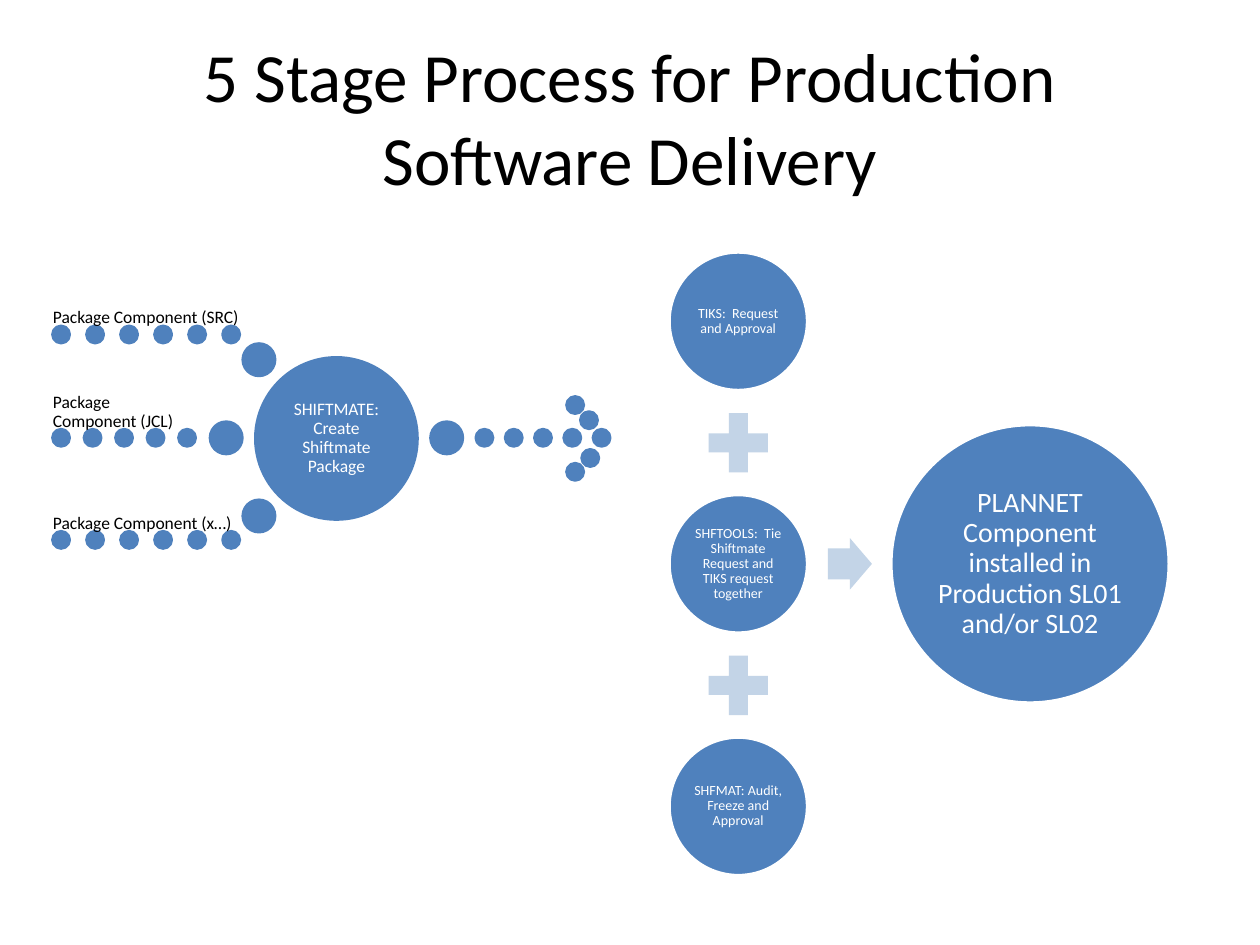
from pptx import Presentation
from pptx.dml.color import RGBColor
from pptx.enum import shapes, text
from pptx.util import Inches, Pt

COLORS = {"blue": "4F81BD", "pale": "C3D4E7", "white": "FFFFFF", "black": "000000"}
FONT = "Calibri"
DOT, BIG_DOT = 0.13, 0.25
LEFT = 0.42  # left edge of the component rows


def rgb(name):
    return RGBColor.from_string(COLORS[name])


def write(shape, content, size, color, anchor, align, inset=(0, 0), spacing=None):
    frame = shape.text_frame
    frame.word_wrap = True
    frame.vertical_anchor = anchor
    frame.margin_left = frame.margin_right = Inches(inset[0])
    frame.margin_top = frame.margin_bottom = Inches(inset[1])
    paragraph = frame.paragraphs[0]
    paragraph.text = content
    paragraph.alignment = align
    if spacing:
        paragraph.line_spacing = spacing
        paragraph.space_after = Pt(size * 0.35)
    paragraph.font.name = FONT
    paragraph.font.size = Pt(size)
    paragraph.font.color.rgb = rgb(color)


def add_figure(slide, kind, left, top, width, height, fill, line=None):
    shape = slide.shapes.add_shape(
        kind, Inches(left), Inches(top), Inches(width), Inches(height))
    shape.shadow.inherit = False
    shape.fill.solid()
    shape.fill.fore_color.rgb = rgb(fill)
    if line:
        shape.line.color.rgb = rgb(line)
        shape.line.width = Pt(2)
    else:
        shape.line.fill.background()
    return shape


def add_dot(slide, left, top, size=DOT):
    add_figure(slide, shapes.MSO_SHAPE.OVAL, left, top, size, size, "blue", "blue")


def add_dot_row(slide, left, top, count, step):
    for index in range(count):
        add_dot(slide, left + index * step, top)


def add_circle(slide, left, top, size, content, font_size, line="white", inset=0.01):
    circle = add_figure(slide, shapes.MSO_SHAPE.OVAL, left, top, size, size, "blue", line)
    write(circle, content, font_size, "white", text.MSO_ANCHOR.MIDDLE,
          text.PP_ALIGN.CENTER, (inset, inset), 0.9)


def add_text(slide, left, top, width, height, *style):
    box = slide.shapes.add_textbox(
        Inches(left), Inches(top), Inches(width), Inches(height))
    write(box, *style)


def add_component(slide, label, top, width, dots, step, big_left, big_top):
    add_dot(slide, big_left, big_top, BIG_DOT)
    add_dot_row(slide, LEFT, top, dots, step)
    add_text(slide, LEFT, top - 0.32, width, 0.33, label, 10, "black",
             text.MSO_ANCHOR.BOTTOM, text.PP_ALIGN.LEFT, (0, 0), 0.9)


def add_package_flow(slide):
    # Dotted arrow leading out of the package
    add_dot(slide, 3.42, 3.35, BIG_DOT)
    add_dot_row(slide, 3.78, 3.41, 5, 0.2325)
    for left, top in [(4.5, 3.15), (4.61, 3.27), (4.62, 3.57), (4.5, 3.68)]:
        add_dot(slide, left, top)

    add_circle(slide, 2.03, 2.84, 1.28, "SHIFTMATE: Create Shiftmate Package", 10, "blue")

    # Components feeding the package
    add_component(slide, "Package Component (SRC)", 2.59, 1.49, 6, 0.27, 1.93, 2.73)
    add_component(slide, "Package Component (JCL)", 3.41, 1.12, 5, 0.25, 1.67, 3.35)
    add_component(slide, "Package Component (x…)", 4.22, 1.49, 6, 0.27, 1.93, 3.97)


def add_approval_flow(slide):
    # Three stages joined by plus signs
    stages = [
        "TIKS:  Request and Approval",
        "SHFTOOLS:  Tie Shiftmate Request and TIKS request together",
        "SHFMAT: Audit, Freeze and Approval",
    ]
    pitch = 1.925
    for index, stage in enumerate(stages):
        top = 2 + index * pitch
        if index:
            plus = add_figure(slide, shapes.MSO_SHAPE.MATH_PLUS,
                              5.54, top - 0.73, 0.64, 0.64, "pale")
            plus.adjustments[0] = 0.235
        add_circle(slide, 5.31, top, 1.1, stage, 8)

    # Arrow to the installed result
    arrow = add_figure(slide, shapes.MSO_SHAPE.RIGHT_ARROW, 6.57, 4.27, 0.35, 0.41, "pale")
    arrow.adjustments[0] = 0.6
    arrow.adjustments[1] = 0.5
    add_circle(slide, 7.07, 3.37, 2.21,
               "PLANNET Component installed in Production SL01 and/or SL02", 16, inset=0.02)


def main():
    presentation = Presentation()
    presentation.slide_width = Inches(10)
    presentation.slide_height = Inches(7.5)
    slide = presentation.slides.add_slide(presentation.slide_layouts[6])

    add_text(slide, 0.5, 0.3, 9, 1.25, "5 Stage Process for Production Software Delivery",
             39.5, "black", text.MSO_ANCHOR.MIDDLE, text.PP_ALIGN.CENTER, (0.1, 0.05))
    add_package_flow(slide)
    add_approval_flow(slide)
    presentation.save("out.pptx")


if __name__ == "__main__":
    main()
